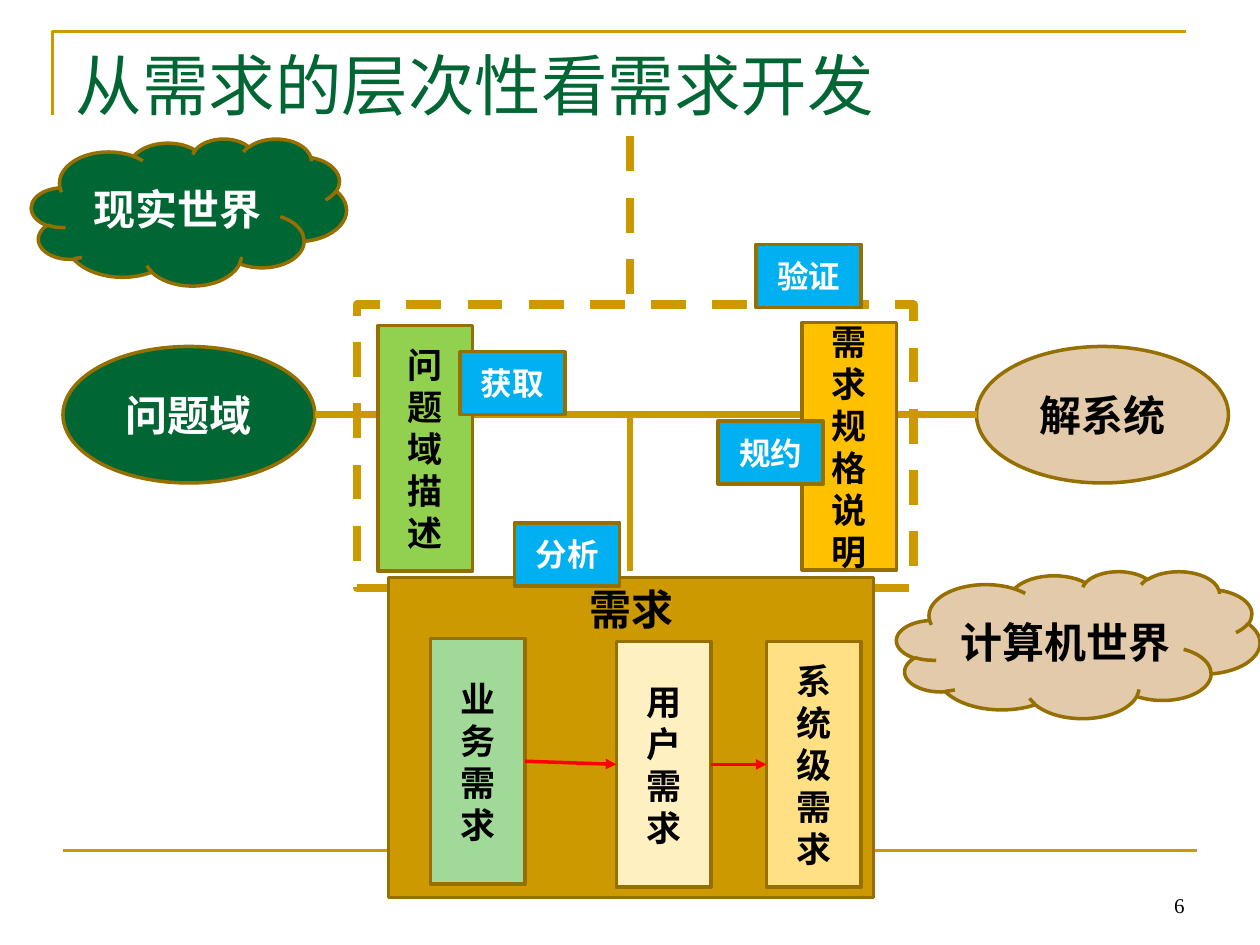
import pptx
import pptx.util
import pptx.dml.color
import pptx.enum.dml
import pptx.enum.shapes
import pptx.enum.text
import pptx.oxml.ns
from lxml import etree

Pt = pptx.util.Pt
SHAPE = pptx.enum.shapes.MSO_SHAPE
ALIGN = pptx.enum.text.PP_ALIGN
ANCHOR = pptx.enum.text.MSO_ANCHOR

COLORS = {
    "gold": "CC9900", "axis": "CC9800", "outline": "956F00", "arrow": "FF0000",
    "green": "006633", "tan": "E2CAAA", "lime": "92D050", "amber": "FFC000",
    "mint": "A1DA98", "cream": "FFF0C2", "butter": "FFE085", "sky": "00B0F0",
    "white": "FFFFFF", "black": "000000",
}

# The slide is a grid of 120 columns by 90 rows; boxes are (left, top, width, height).
COLUMNS, ROWS = 120, 90
TITLE, TITLE_BOX = "从需求的层次性看需求开发", (6, 3.6, 108, 15)
PAGE, PAGE_BOX = "6", (86, 82, 28, 6)
CORNER = [(5, 11), (5, 3), (113, 3)]
FOOT_RULE = (6, 81, 114, 81)
WORLD_DIVIDER = (60, 13, 60, 73.9)
SCOPE_BOX = (34, 29, 53, 27)
AXIS_Y = 39.5
AXES = [(30, AXIS_Y, 93, AXIS_Y), (60, AXIS_Y, 60, 54.4)]

# text, shape, box, fill, text colour
WORLDS = [
    ("现实世界", SHAPE.CLOUD, (3, 13.2, 30, 14), "green", "white"),
    ("计算机世界", SHAPE.CLOUD, (85.4, 54.4, 34.6, 14), "tan", "black"),
    ("问题域", SHAPE.OVAL, (6, 33, 24, 13), "green", "white"),
    ("解系统", SHAPE.OVAL, (93, 33, 24, 13), "tan", "black"),
]
# text, box, fill
DOCUMENTS = [
    ("问题域描述", (36, 31, 9, 23.4), "lime"),
    ("需求规格说明", (76.4, 30.7, 9, 23.6), "amber"),
]
REQUIREMENTS, REQUIREMENTS_BOX = "需求", (37, 55, 46.2, 30.5)
LEVELS = [
    ("业务需求", (41, 60.8, 9, 23.4), "mint"),
    ("用户需求", (58.7, 61.1, 9, 23.4), "cream"),
    ("系统级需求", (73, 61.1, 9, 23.4), "butter"),
]
ACTIVITY_SIZE = (10, 6)
ACTIVITIES = [("获取", (43.8, 33.5)), ("分析", (49, 49.8)),
              ("规约", (68.4, 40.1)), ("验证", (72, 23.3))]

deck = pptx.Presentation()
deck.slide_width, deck.slide_height = pptx.util.Inches(10), pptx.util.Inches(7.5)
slide = deck.slides.add_slide(deck.slide_layouts[5])
shapes = slide.shapes


def grid(values):
    """Turn alternating column and row counts into slide lengths."""
    steps = (deck.slide_width / COLUMNS, deck.slide_height / ROWS)
    return [round(value * steps[i % 2]) for i, value in enumerate(values)]


def rgb(name):
    return pptx.dml.color.RGBColor.from_string(COLORS[name])


def style_line(line, color, width, dashed=False):
    line.color.rgb = rgb(color)
    line.width = Pt(width)
    if dashed:
        line.dash_style = pptx.enum.dml.MSO_LINE.DASH


def write(shape, text, size, color, font="Arial", bold=True,
          align=ALIGN.CENTER, anchor=ANCHOR.MIDDLE):
    frame = shape.text_frame
    frame.text = text
    frame_format = {"word_wrap": True, "vertical_anchor": anchor,
                    "auto_size": pptx.enum.text.MSO_AUTO_SIZE.NONE}
    paragraph = frame.paragraphs[0]
    paragraph.alignment = align
    run_font = paragraph.runs[0].font
    font_format = {"name": font, "size": Pt(size), "bold": bold}
    for target, values in ((frame, frame_format), (run_font, font_format)):
        for key, value in values.items():
            setattr(target, key, value)
    run_font.color.rgb = rgb(color)


def add_box(box, fill, kind=SHAPE.RECTANGLE, line=("outline", 2)):
    shape = shapes.add_shape(kind, *grid(box))
    shape.shadow.inherit = False
    shape.fill.solid()
    shape.fill.fore_color.rgb = rgb(fill)
    style_line(shape.line, *line)
    return shape


def add_line(ends, color, width, dashed=False):
    connector = shapes.add_connector(pptx.enum.shapes.MSO_CONNECTOR.STRAIGHT, *grid(ends))
    style_line(connector.line, color, width, dashed)
    etree.SubElement(connector._element.spPr, pptx.oxml.ns.qn("a:effectLst"))
    return connector


def place(shape, box):
    shape.left, shape.top, shape.width, shape.height = grid(box)


# Page frame
place(shapes.title, TITLE_BOX)
write(shapes.title, TITLE, 38, "green", "Times New Roman", False, ALIGN.LEFT, ANCHOR.TOP)
corner_points = [grid(point) for point in CORNER]
builder = shapes.build_freeform(*corner_points[0])
builder.add_line_segments(corner_points[1:], close=False)
corner = builder.convert_to_shape()
corner.shadow.inherit = False
corner.fill.background()
style_line(corner.line, "gold", 1.5)
add_line(FOOT_RULE, "gold", 1.5)
page_number = shapes.add_textbox(*grid(PAGE_BOX))
write(page_number, PAGE, 12, "black", "Times New Roman", False, ALIGN.RIGHT, ANCHOR.BOTTOM)

# Two worlds and the scope between them
add_line(WORLD_DIVIDER, "axis", 5, True)
add_box(SCOPE_BOX, "white", line=("gold", 5, True))
for text, kind, box, fill, ink in WORLDS:
    write(add_box(box, fill, kind), text, 24, ink)
for ends in AXES:
    add_line(ends, "axis", 4)
for text, box, fill in DOCUMENTS:
    write(add_box(box, fill), text, 20, "black")

# Requirement levels
write(add_box(REQUIREMENTS_BOX, "gold"), REQUIREMENTS, 24, "black", anchor=ANCHOR.TOP)
levels = []
for text, box, fill in LEVELS:
    level = add_box(box, fill)
    write(level, text, 20, "black")
    levels.append(level)
for upper, lower in zip(levels, levels[1:]):
    arrow = add_line((0, 0, 0, 0), "arrow", 2)
    arrow.begin_connect(upper, 3)
    arrow.end_connect(lower, 1)
    etree.SubElement(arrow.line._get_or_add_ln(), pptx.oxml.ns.qn("a:tailEnd"), type="triangle")

# Development activities
for text, corner_at in ACTIVITIES:
    write(add_box(corner_at + ACTIVITY_SIZE, "sky"), text, 18, "white")

deck.save("out.pptx")
